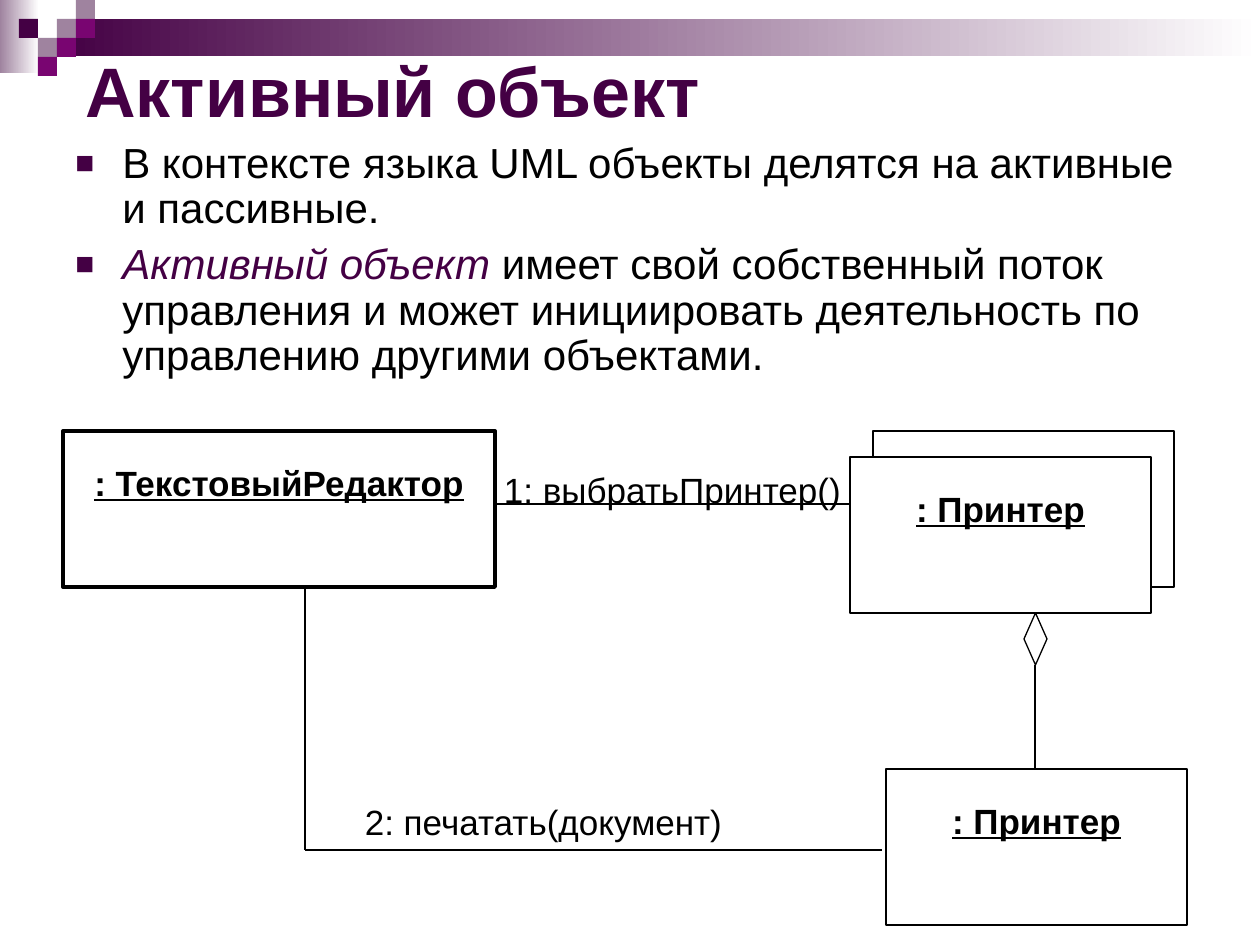
from lxml.etree import SubElement
from pptx import Presentation
from pptx.dml.color import RGBColor
from pptx.enum.shapes import MSO_CONNECTOR, MSO_SHAPE
from pptx.enum.text import MSO_ANCHOR, PP_ALIGN
from pptx.oxml.ns import qn
from pptx.util import Pt

SCALE = 914400 / 126
THEME = {
    "font": "Arial",
    "dark": RGBColor.from_string("440044"),
    "bright": RGBColor.from_string("790571"),
    "pale": RGBColor.from_string("9F839F"),
    "white": RGBColor.from_string("FFFFFF"),
    "black": RGBColor.from_string("000000"),
    "title": Pt(40),
    "body": Pt(24),
    "label": Pt(20),
    "thin": Pt(0.75),
    "thick": Pt(2.25),
}

deck = Presentation()
deck.slide_width, deck.slide_height = round(1260 * SCALE), round(945 * SCALE)
page = deck.slides.add_slide(deck.slide_layouts[6])


def add_box(bounds, kind=MSO_SHAPE.RECTANGLE, fill=THEME["white"], line=None):
    box = page.shapes.add_shape(kind, *[round(value * SCALE) for value in bounds])
    box.shadow.inherit = False
    box.fill.solid()
    box.fill.fore_color.rgb = fill
    if line is None:
        box.line.fill.background()
    else:
        box.line.color.rgb = THEME["black"]
        box.line.width = line
    return box


def add_span(para, text, size, color=THEME["black"], **styles):
    span = para.add_run()
    span.text = text
    span.font.color.rgb = color
    formats = {"name": THEME["font"], "size": size, **styles}
    for name, value in formats.items():
        setattr(span.font, name, value)


for bounds, start in [((0, 0, 39, 73), "pale"), ((57, 19, 1203, 37), "dark")]:
    band = add_box(bounds)
    band.fill.gradient()
    band.fill.gradient_angle = 0
    for stop, color in zip(band.fill.gradient_stops, (start, "white")):
        stop.color.rgb = THEME[color]

CELL = 19
for column, row, color in [
    (3, 1, "pale"), (4, 0, "pale"), (4, 1, "bright"), (2, 2, "pale"),
    (1, 1, "dark"), (3, 2, "bright"), (2, 3, "bright"),
]:
    add_box((column * CELL, row * CELL, CELL, CELL), fill=THEME[color])

title = page.shapes.add_textbox(*[round(value * SCALE) for value in (73, 42, 1134, 94)])
title.text_frame.word_wrap = True
title.text_frame.vertical_anchor = MSO_ANCHOR.MIDDLE
add_span(title.text_frame.paragraphs[0], "Активный объект", THEME["title"], THEME["dark"], bold=True)

body = page.shapes.add_textbox(*[round(value * SCALE) for value in (63, 136, 1134, 275)])
body.text_frame.word_wrap = True
points = [
    [("В контексте языка UML объекты делятся на активные и пассивные.", "black", False)],
    [
        ("Активный объект", "dark", True),
        (" имеет свой собственный поток управления и может инициировать "
         "деятельность по управлению другими объектами.", "black", False),
    ],
]
for index, point in enumerate(points):
    para = body.text_frame.paragraphs[0] if index == 0 else body.text_frame.add_paragraph()
    para.line_spacing = 0.9
    para.space_before = Pt(6 if index else 0)
    properties = para._p.get_or_add_pPr()
    properties.set("marL", str(round(47 * SCALE)))
    properties.set("indent", str(round(-47 * SCALE)))
    bullet_color = SubElement(properties, qn("a:buClr"))
    SubElement(bullet_color, qn("a:srgbClr"), val=str(THEME["dark"]))
    SubElement(properties, qn("a:buSzPct"), val="75000")
    SubElement(properties, qn("a:buFont"), typeface=THEME["font"])
    SubElement(properties, qn("a:buChar"), char="■")
    for text, color, italic in point:
        add_span(para, text, THEME["body"], THEME[color], italic=italic)

for bounds, text, line in [
    ((63, 431, 432, 156), ": ТекстовыйРедактор", "thick"),
    ((873, 431, 301, 156), None, "thin"),
    ((850, 457, 301, 156), ": Принтер", "thin"),
    ((886, 769, 301, 156), ": Принтер", "thin"),
]:
    box = add_box(bounds, line=THEME[line])
    if text:
        frame = box.text_frame
        frame.margin_top = round(30 * SCALE)
        frame.vertical_anchor = MSO_ANCHOR.TOP
        frame.paragraphs[0].alignment = PP_ALIGN.CENTER
        add_span(frame.paragraphs[0], text, THEME["label"], bold=True, underline=True)

add_box((1024, 613, 23, 52), MSO_SHAPE.FLOWCHART_DECISION, line=THEME["thin"])

for bounds, text in [
    ((474, 462, 397, 103), "1: выбратьПринтер()"),
    ((336, 794, 415, 103), "2: печатать(документ)"),
]:
    label = page.shapes.add_textbox(*[round(value * SCALE) for value in bounds])
    label.text_frame.word_wrap = True
    para = label.text_frame.paragraphs[0]
    para.alignment = PP_ALIGN.CENTER
    add_span(para, text, THEME["label"])

for ends in [
    (1035, 665, 1035, 769),
    (495, 504, 850, 504),
    (305, 850, 882, 850),
    (305, 850, 305, 588),
]:
    link = page.shapes.add_connector(
        MSO_CONNECTOR.STRAIGHT, *[round(value * SCALE) for value in ends])
    link.line.color.rgb = THEME["black"]
    link.line.width = THEME["thin"]
    SubElement(link._element.spPr, qn("a:effectLst"))

deck.save("out.pptx")
